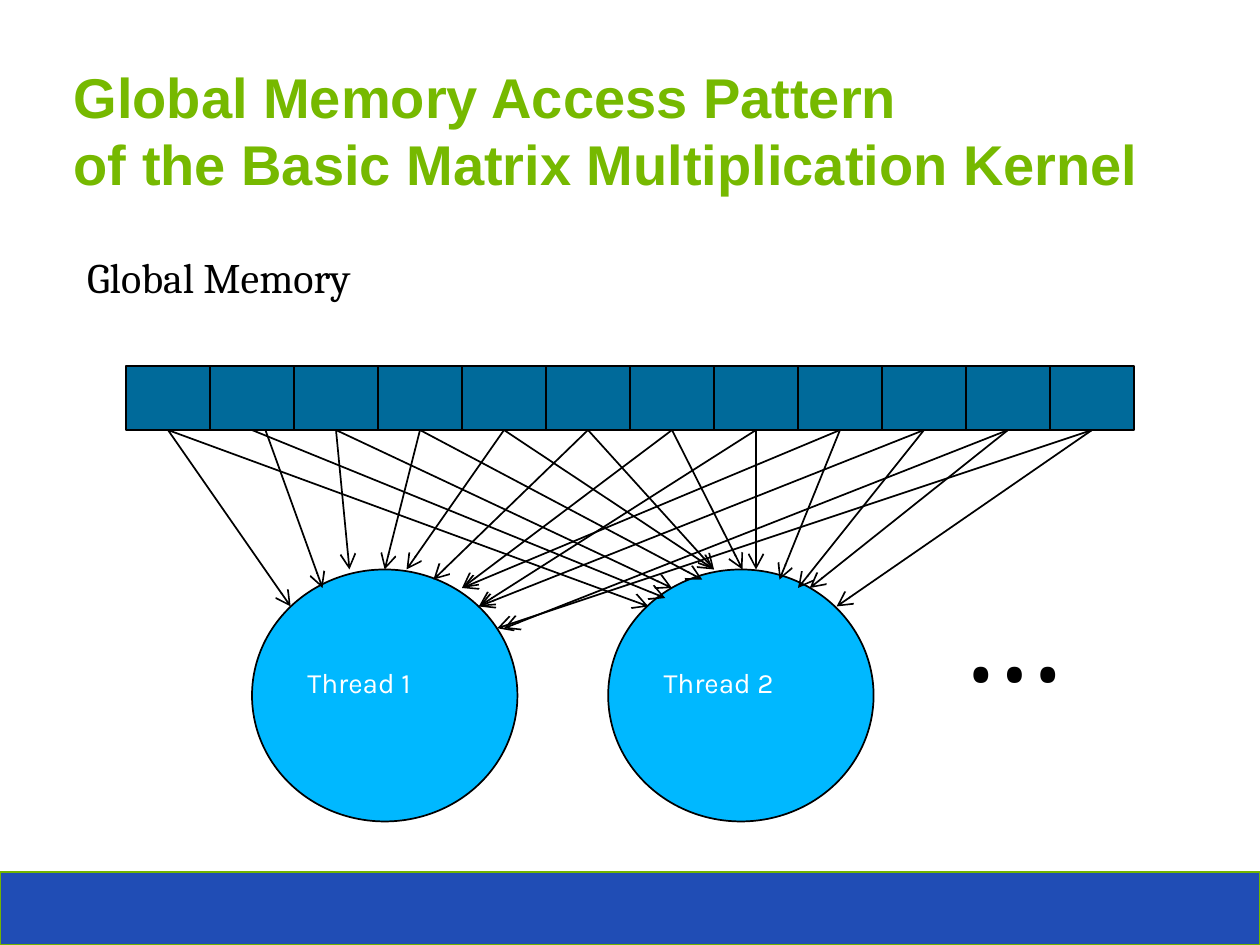
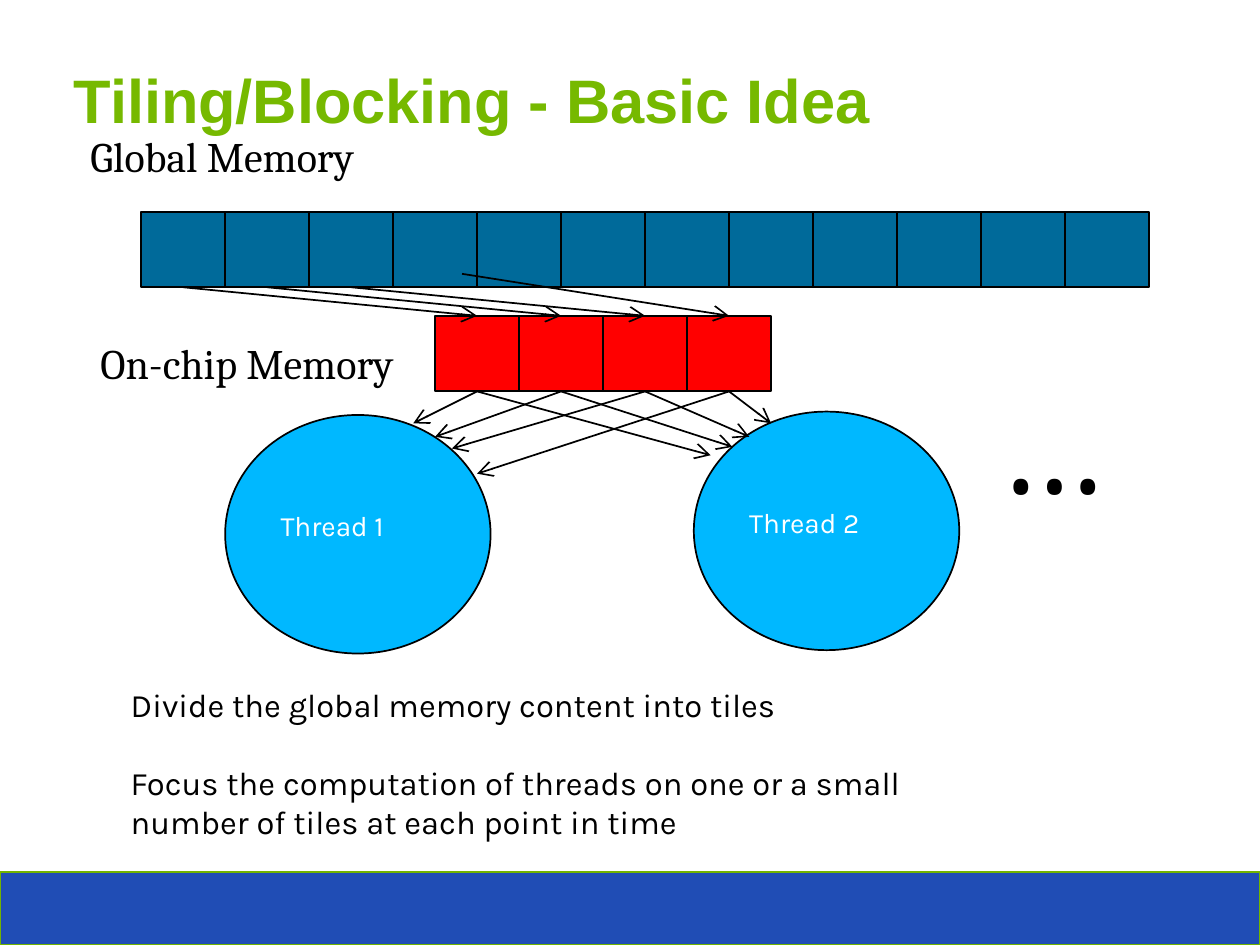
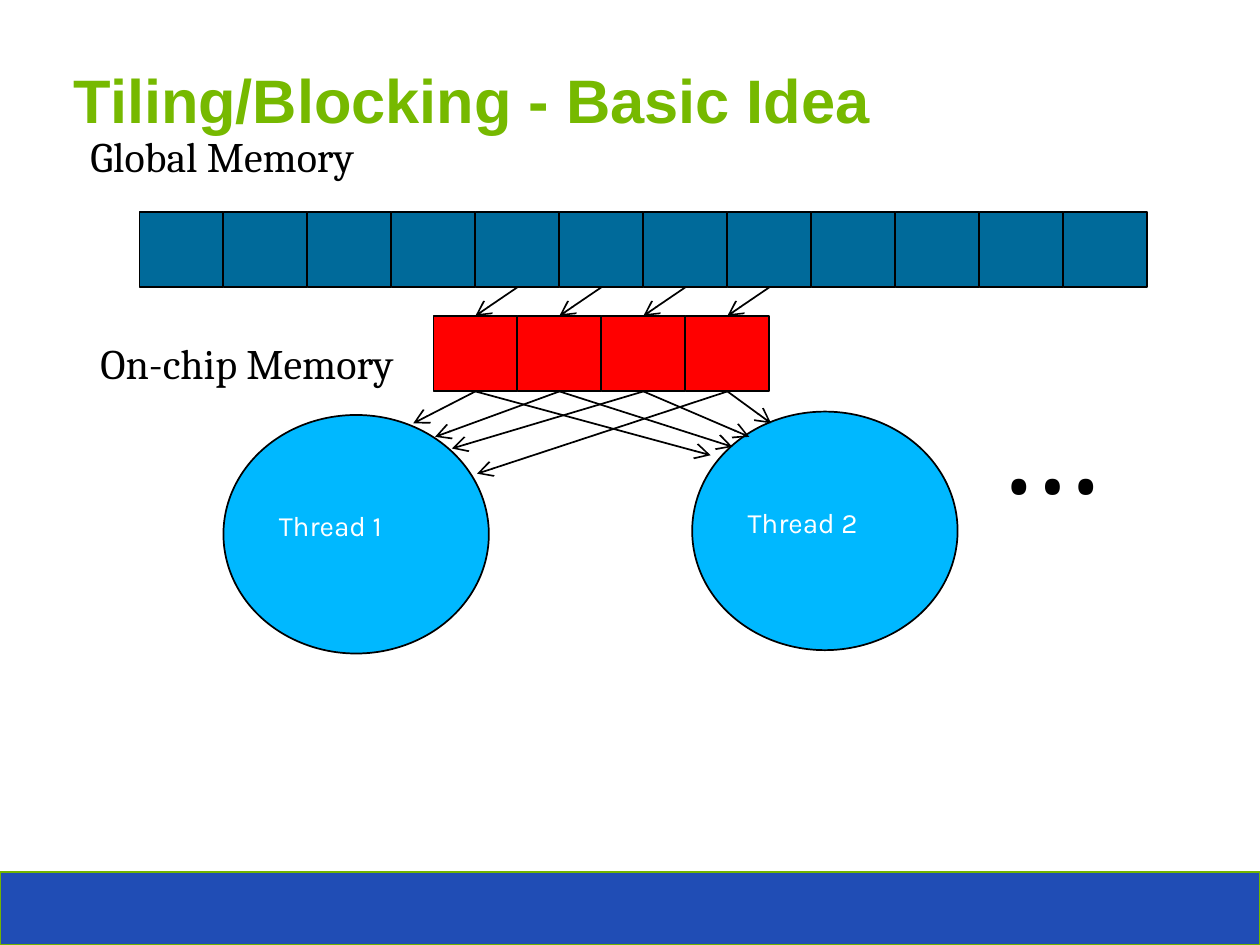
"""Build three slides on global memory access and tiling."""
import pptx
import pptx.dml.color
import pptx.enum.shapes
import pptx.enum.text
import pptx.oxml.ns
import pptx.util
from lxml import etree

WIDTH, HEIGHT = 7.5, 7.5 * 0.75
FOOTER_TOP = 5.19
CELL = 0.5
THREAD_WIDTH = 1.58
GLOBAL_CELLS, CHIP_CELLS, CHIP_OFFSET = 12, 4, 1.75
COLORS = {
    "title": "76B900", "footer": "204DB5", "footer_line": "72B400",
    "global": "006A9A", "chip": "FF0000", "thread": "00B8FF",
    "ink": "000000", "light": "FFFFFF",
}

ACCESS_TARGETS = [
    [(1.73, 3.61), (1.92, 3.5), (2.08, 3.39), (2.29, 3.39), (2.42, 3.39), (2.58, 3.45),
     (2.75, 3.5), (2.85, 3.61), (2.75, 3.5), (2.85, 3.61), (3, 3.74), (2.96, 3.74)],
    [(3.86, 3.61), (3.96, 3.56), (4, 3.5), (4.18, 3.45), (4.25, 3.39), (4.25, 3.39),
     (4.42, 3.39), (4.5, 3.39), (4.64, 3.45), (4.75, 3.5), (4.82, 3.5), (4.98, 3.61)],
]
CHIP_TARGETS = [
    [(2.46, 2.52), (2.59, 2.6), (2.69, 2.67), (2.84, 2.82)],
    [(4.23, 2.71), (4.36, 2.66), (4.46, 2.6), (4.59, 2.52)],
]
ACCESS = {
    "title": "Global Memory Access Pattern\vof the Basic Matrix Multiplication Kernel",
    "title_size": 24, "bar": (0.75, 2.18, 0.38),
    "threads": [(0.75, 3.39), (2.87, 3.39)], "thread_height": 1.5,
    "dots": (4.85, 3.18), "labels": [("Global Memory", 0.42, 1.45, 1.82)],
    "targets": ACCESS_TARGETS, "moved_starts": {(0, 1): (1.58, 2.56)},
}
TILING = {
    "title": "Tiling/Blocking - Basic Idea", "title_size": 26.3,
    "bar": (0.84, 1.26, 0.45), "chip_top": 1.88,
    "threads": [(0.5, 2.47), (3.29, 2.45)], "thread_height": 1.42,
    "dots": (5, 2.06),
    "labels": [("Global Memory", 0.44, 0.73, 1.82), ("On-chip Memory", 0.5, 1.96, 1.96)],
    "targets": CHIP_TARGETS,
}
SLIDES = [
    ACCESS,
    TILING | {
        "first_tile": 0, "moved_loads": {3: (2.75, 1.63)},
        "body": "Divide the global memory content into tiles\n"
                "Focus the computation of threads on one or a small number of tiles "
                "at each point in time",
    },
    TILING | {"bar": (0.83, 1.26, 0.45), "first_tile": 4},
]


def inches(*values):
    return [pptx.util.Inches(value) for value in values]


def rgb(name):
    return pptx.dml.color.RGBColor.from_string(COLORS[name])


def write(shape, text, size, font="Cambria", color="ink", bold=False, wrap=True,
          top=0.05, gap=0):
    frame = shape.text_frame
    frame.word_wrap = wrap
    frame.vertical_anchor = pptx.enum.text.MSO_ANCHOR.TOP
    frame.margin_top = pptx.util.Inches(top)
    frame.text = text
    for para in frame.paragraphs:
        para.alignment = pptx.enum.text.PP_ALIGN.LEFT
        para.space_after = pptx.util.Pt(gap)
        for span in para.runs:
            span.font.name = font
            span.font.size = pptx.util.Pt(size)
            span.font.bold = bold
            span.font.color.rgb = rgb(color)


def add_text(page, area, text, size, **style):
    write(page.shapes.add_textbox(*inches(*area)), text, size, **style)


def add_box(page, area, fill, line="ink", kind="RECTANGLE"):
    preset = getattr(pptx.enum.shapes.MSO_SHAPE, kind)
    box = page.shapes.add_shape(preset, *inches(*area))
    box.shadow.inherit = False
    box.fill.solid()
    box.fill.fore_color.rgb = rgb(fill)
    box.line.color.rgb = rgb(line)
    box.line.width = pptx.util.Pt(0.75)
    return box


def add_arrow(page, start, end):
    straight = pptx.enum.shapes.MSO_CONNECTOR.STRAIGHT
    arrow = page.shapes.add_connector(straight, *inches(*start, *end))
    arrow.line.color.rgb = rgb("ink")
    arrow.line.width = pptx.util.Pt(0.75)
    qn = pptx.oxml.ns.qn
    properties = arrow.element.spPr
    etree.SubElement(properties.find(qn("a:ln")), qn("a:tailEnd"), type="arrow")
    etree.SubElement(properties, qn("a:effectLst"))


def add_memory(page, left, top, height, count, fill):
    """Draw a row of cells and return the bottom centre of each."""
    for index in range(count):
        add_box(page, (left + index * CELL, top, CELL, height), fill)
    return [(left + (index + 0.5) * CELL, top + height) for index in range(count)]


def add_page(deck, content):
    page = deck.slides.add_slide(deck.slide_layouts[6])
    add_box(page, (0, FOOTER_TOP, WIDTH, HEIGHT - FOOTER_TOP), "footer", "footer_line")
    add_text(page, (0.34, 0.32, 6.82, 0.48), content["title"], content["title_size"],
             font="Arial", color="title", bold=True)

    left, top, height = content["bar"]
    sources = add_memory(page, left, top, height, GLOBAL_CELLS, "global")
    for number, (offset, thread_top) in enumerate(content["threads"], 1):
        area = (left + offset, thread_top, THREAD_WIDTH, content["thread_height"])
        thread = add_box(page, area, "thread", kind="OVAL")
        write(thread, f"Thread {number}", 12, font="Karla", color="light", top=0.35)
    offset, dots_top = content["dots"]
    add_text(page, (left + offset, dots_top, 1.67, 1.11), "…", 60)

    if "chip_top" in content:
        chip_top, first = content["chip_top"], content["first_tile"]
        loads = sources[first:first + CHIP_CELLS]
        sources = add_memory(page, left + CHIP_OFFSET, chip_top, height, CHIP_CELLS, "chip")
        for index, (start, (center, _)) in enumerate(zip(loads, sources)):
            start = content.get("moved_loads", {}).get(index, start)
            add_arrow(page, start, (center, chip_top))

    for thread_index, targets in enumerate(content["targets"]):
        for index, (start, end) in enumerate(zip(sources, targets)):
            start = content.get("moved_starts", {}).get((thread_index, index), start)
            add_arrow(page, start, end)

    for text, label_left, label_top, width in content["labels"]:
        add_text(page, (label_left, label_top, width, 0.4), text, 18, wrap=False)
    if "body" in content:
        add_text(page, (0.68, 4.03, 5.43, 1.04), content["body"], 14, font="Karla", gap=16.4)


def main():
    deck = pptx.Presentation()
    deck.slide_width, deck.slide_height = inches(WIDTH, HEIGHT)
    for content in SLIDES:
        add_page(deck, content)
    deck.save("out.pptx")


if __name__ == "__main__":
    main()
